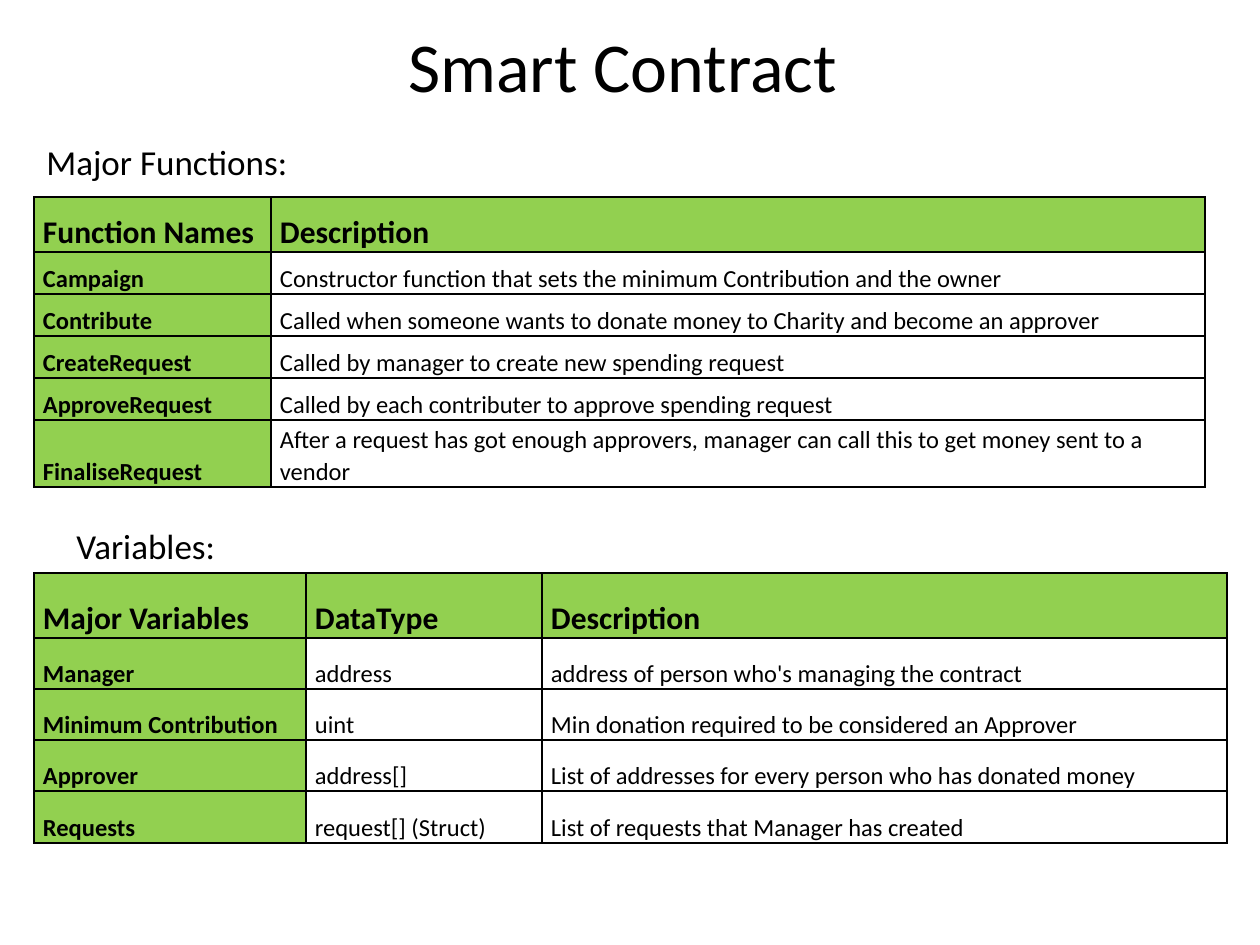
from dataclasses import dataclass

from lxml.etree import SubElement
from pptx import Presentation
from pptx.dml.color import RGBColor as Rgb
from pptx.enum.text import MSO_ANCHOR as Anchor
from pptx.oxml.ns import qn
from pptx.util import Pt

EMU_PER_PX = 914400 / 126


@dataclass(frozen=True)
class Theme:
    """Colours, font and type sizes of the slide."""
    font: str = "Calibri"
    ink: str = "000000"
    accent: str = "92D050"
    paper: str = "FFFFFF"
    title: int = 40
    heading: int = 20
    header: int = 18
    body: int = 14
    border: int = 1


THEME = Theme()

FUNCTIONS = [
    ("Function Names", "Description"),
    ("Campaign", "Constructor function that sets the minimum Contribution and the owner"),
    ("Contribute", "Called when someone wants to donate money to Charity and become an approver"),
    ("CreateRequest", "Called by manager to create new spending request"),
    ("ApproveRequest", "Called by each contributer to approve spending request"),
    ("FinaliseRequest", "After a request has got enough approvers, manager can call this "
                        "to get money sent to a vendor"),
]
VARIABLES = [
    ("Major Variables", "DataType", "Description"),
    ("Manager", "address", "address of person who's managing the contract"),
    ("Minimum Contribution", "uint", "Min donation required to be considered an Approver"),
    ("Approver", "address[]", "List of addresses for every person who has donated money"),
    ("Requests", "request[] (Struct)", "List of requests that Manager has created"),
]


def px(length):
    """Turn a length in px into EMU."""
    return round(length * EMU_PER_PX)


def apply(target, values):
    """Set each named attribute on the target."""
    for name, value in values.items():
        setattr(target, name, value)


def write(frame, wording, size, bold=False, spacing=1.0):
    """Write one styled paragraph into a text frame."""
    paragraph = frame.paragraphs[0]
    paragraph.line_spacing = spacing
    run = paragraph.add_run()
    run.text = wording
    apply(run.font, {"name": THEME.font, "size": Pt(size), "bold": bold})
    run.font.color.rgb = Rgb.from_string(THEME.ink)


def add_label(slide, box, wording, size, anchor=Anchor.TOP, spacing=1.0):
    """Place a title or heading in its box."""
    frame = slide.shapes.add_textbox(*map(px, box)).text_frame
    apply(frame, {"word_wrap": True, "vertical_anchor": anchor})
    write(frame, wording, size, spacing=spacing)


def add_borders(cell):
    """Draw a thin line on all four sides of a cell."""
    properties = cell._tc.get_or_add_tcPr()
    for side in ("a:lnL", "a:lnR", "a:lnT", "a:lnB"):
        line = SubElement(properties, qn(side), w=str(Pt(THEME.border)))
        SubElement(SubElement(line, qn("a:solidFill")), qn("a:srgbClr"), val=THEME.ink)


def fill_cell(cell, wording, is_header, is_name):
    """Style one cell and write its wording."""
    apply(cell, {"vertical_anchor": Anchor.BOTTOM, "margin_left": px(9),
                 "margin_right": px(9), "margin_top": 0, "margin_bottom": 0})
    add_borders(cell)
    marked = is_header or is_name
    cell.fill.solid()
    cell.fill.fore_color.rgb = Rgb.from_string(THEME.accent if marked else THEME.paper)
    write(cell.text_frame, wording, THEME.header if is_header else THEME.body, marked, 1.07)


def add_grid(slide, left, top, widths, heights, entries):
    """Place a table with a green header row and name column."""
    box = (left, top, sum(widths), sum(heights))
    table = slide.shapes.add_table(len(heights), len(widths), *map(px, box)).table
    apply(table, {"first_row": False, "horz_banding": False})
    for column, width in zip(table.columns, widths):
        column.width = px(width)
    for row, height in zip(table.rows, heights):
        row.height = px(height)
    for r, entry in enumerate(entries):
        for c, wording in enumerate(entry):
            fill_cell(table.cell(r, c), wording, r == 0, c == 0)


def main():
    """Build and save the slide."""
    deck = Presentation()
    apply(deck, {"slide_width": px(1260), "slide_height": px(945)})
    slide = deck.slides.add_slide(deck.slide_layouts[6])
    add_label(slide, (396, 14, 514, 112), "Smart Contract", THEME.title, Anchor.MIDDLE, 0.9)
    add_grid(slide, 34, 197, [237, 934], [55] + [42] * 4 + [67], FUNCTIONS)
    add_grid(slide, 34, 573, [272, 236, 685], [65] + [51] * 3 + [52], VARIABLES)
    add_label(slide, (34, 134, 292, 55), "Major Functions:", THEME.heading)
    add_label(slide, (64, 518, 189, 55), "Variables:", THEME.heading)
    deck.save("out.pptx")


if __name__ == "__main__":
    main()
